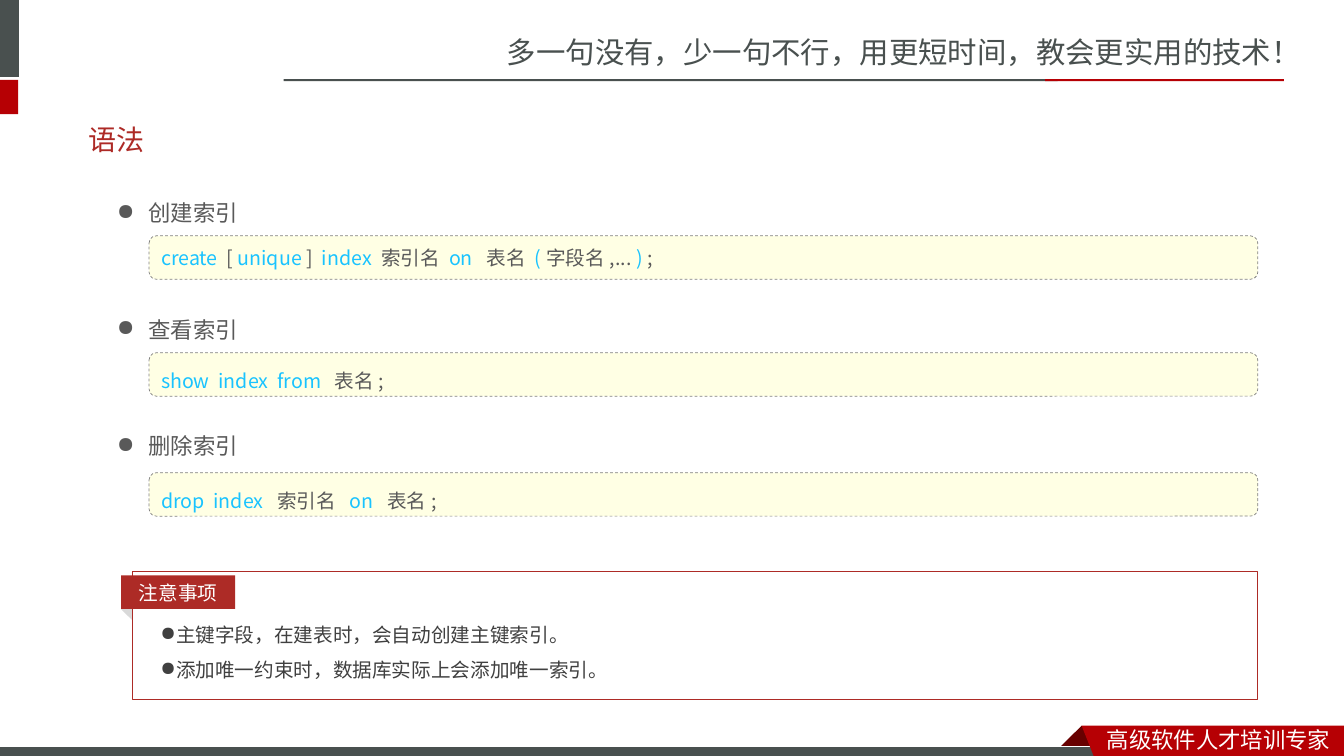
from lxml import etree
from pptx import Presentation
from pptx.dml.color import RGBColor
from pptx.enum import dml, shapes, text
from pptx.oxml.ns import qn
from pptx.util import Pt

SC, JP = "Noto Sans CJK SC", "Noto Sans CJK JP"
SLATE, RED, BRICK, WHITE = "49504F", "B60004", "AD2B26", "FFFFFF"
GREY, BLUE = "595959", "19C3FF"


def color(value):
    return RGBColor.from_string(value)


def write(p, content, size=14, font=JP, fill=GREY, align=None, spacing=None, bullet=None):
    """Add one run to a paragraph; bullet is the hanging indent in points."""
    if bullet:
        pPr = p._p.get_or_add_pPr()
        pPr.set("marL", str(Pt(bullet)))
        pPr.set("indent", str(-Pt(bullet)))
        etree.SubElement(pPr, qn("a:buChar")).set("char", "●")
    if align is not None:
        p.alignment = align
    if spacing:
        p.line_spacing = spacing
    r = p.add_run()
    r.text = content
    r.font.size, r.font.name = Pt(size), font
    r.font.color.rgb = color(fill)
    etree.SubElement(r._r.get_or_add_rPr(), qn("a:ea")).set("typeface", font)


class Deck:
    def __init__(self):
        self.prs = Presentation()
        self.prs.slide_width, self.prs.slide_height = Pt(960), Pt(540)
        self.s = self.prs.slides.add_slide(self.prs.slide_layouts[5])

    def title(self, content, x, y, w, h, **fmt):
        sp = self.s.shapes.title
        sp.left, sp.top, sp.width, sp.height = Pt(x), Pt(y), Pt(w), Pt(h)
        sp.text_frame.vertical_anchor = text.MSO_ANCHOR.MIDDLE
        write(sp.text_frame.paragraphs[0], content, align=text.PP_ALIGN.LEFT, **fmt)

    def paint(self, sp, fill, line=None, width=0.75, dash=False):
        sp.shadow.inherit = False
        if fill:
            sp.fill.solid()
            sp.fill.fore_color.rgb = color(fill)
        else:
            sp.fill.background()
        if line:
            sp.line.color.rgb = color(line)
            sp.line.width = Pt(width)
            if dash:
                sp.line.dash_style = dml.MSO_LINE.DASH
        else:
            sp.line.fill.background()
        return sp

    def shape(self, x, y, w, h, fill, kind=shapes.MSO_SHAPE.RECTANGLE, **style):
        sp = self.s.shapes.add_shape(kind, Pt(x), Pt(y), Pt(w), Pt(h))
        return self.paint(sp, fill, **style)

    def polygon(self, points, fill):
        (x, y), *rest = [(Pt(a), Pt(b)) for a, b in points]
        builder = self.s.shapes.build_freeform(x, y)
        builder.add_line_segments(rest)
        return self.paint(builder.convert_to_shape(), fill)

    def text(self, lines, x, y, w, h, anchor=text.MSO_ANCHOR.MIDDLE, **fmt):
        tf = self.s.shapes.add_textbox(Pt(x), Pt(y), Pt(w), Pt(h)).text_frame
        tf.word_wrap = True
        tf.vertical_anchor = anchor
        for i, line in enumerate(lines):
            write(tf.add_paragraph() if i else tf.paragraphs[0], line, **fmt)

    def code(self, parts, y, spacing):
        """Code panel whose parts alternate between keyword and plain colour."""
        sp = self.shape(106.5, y, 792, 31, "FFFFE4", shapes.MSO_SHAPE.ROUNDED_RECTANGLE,
                        line="808080", width=0.5, dash=True)
        sp.text_frame.vertical_anchor = text.MSO_ANCHOR.MIDDLE
        p = sp.text_frame.paragraphs[0]
        for i, part in enumerate(parts):
            write(p, part, fill=GREY if i % 2 else BLUE,
                  align=text.PP_ALIGN.LEFT, spacing=spacing)


SECTIONS = [
    ("创建索引", 152, 168.5, 1,
     ["create  ", "[", " unique ", "]", "  index ", "索引名 ", "on  ", "表名 ",
      "(", "字段名,... ", ") ", ";"]),
    ("查看索引", 235.2, 252, 1.5, ["show  index  from  ", "表名;"]),
    ("删除索引", 318.5, 337.7, 1.5, ["drop  index  ", "索引名  ", "on  ", "表名;"]),
]
NOTES = ["主键字段，在建表时，会自动创建主键索引。",
         "添加唯一约束时，数据库实际上会添加唯一索引。"]


def main():
    d = Deck()

    # Header
    d.text(["多一句没有，少一句不行，用更短时间，教会更实用的技术！"],
           355, 20, 605, 34, size=21, font=SC, fill=SLATE)
    d.shape(0, 0, 13.5, 55, SLATE)
    d.shape(0, 57, 13, 24.5, RED)
    d.shape(202.5, 56.5, 553, 1.5, SLATE)
    d.shape(746.5, 56.5, 170.5, 1.5, RED)

    # Footer ribbon
    d.polygon([(772.6, 518.4), (788.4, 534.2), (787.7, 535), (757.4, 535), (756.7, 534.2)],
              "680000")
    d.shape(-0.5, 533.5, 792, 8.5, SLATE, line=WHITE)
    d.polygon([(772.6, 518.4), (960, 518.4), (960, 540), (781.2, 540)], RED)
    d.text(["高级软件人才培训专家"], 783.5, 515, 176.5, 26.5, size=16, font=SC, fill=WHITE)

    d.title("语法", 56, 79, 842, 41, size=20, font="Roboto", fill="AD2A26")

    for heading, middle, top, spacing, parts in SECTIONS:
        d.text([heading], 76.5, middle - 15, 822, 30, size=16, bullet=22.5)
        d.code(parts, top, spacing)

    # Notes panel
    d.text(NOTES, 107.5, 433.5, 755, 57, anchor=text.MSO_ANCHOR.TOP,
           fill="404040", spacing=Pt(25), bullet=8)
    fold = d.shape(87, 433.5, 11.5, 6.5, "D9D9D9", shapes.MSO_SHAPE.ISOSCELES_TRIANGLE)
    fold.rotation = 44.2
    d.shape(94.5, 408, 804, 91.5, None, line=BRICK)
    label = d.shape(86.5, 411, 81.5, 24, BRICK)
    label.text_frame.vertical_anchor = text.MSO_ANCHOR.MIDDLE
    write(label.text_frame.paragraphs[0], "注意事项", font="Arial", fill=WHITE,
          align=text.PP_ALIGN.CENTER)

    d.prs.save("out.pptx")


if __name__ == "__main__":
    main()
